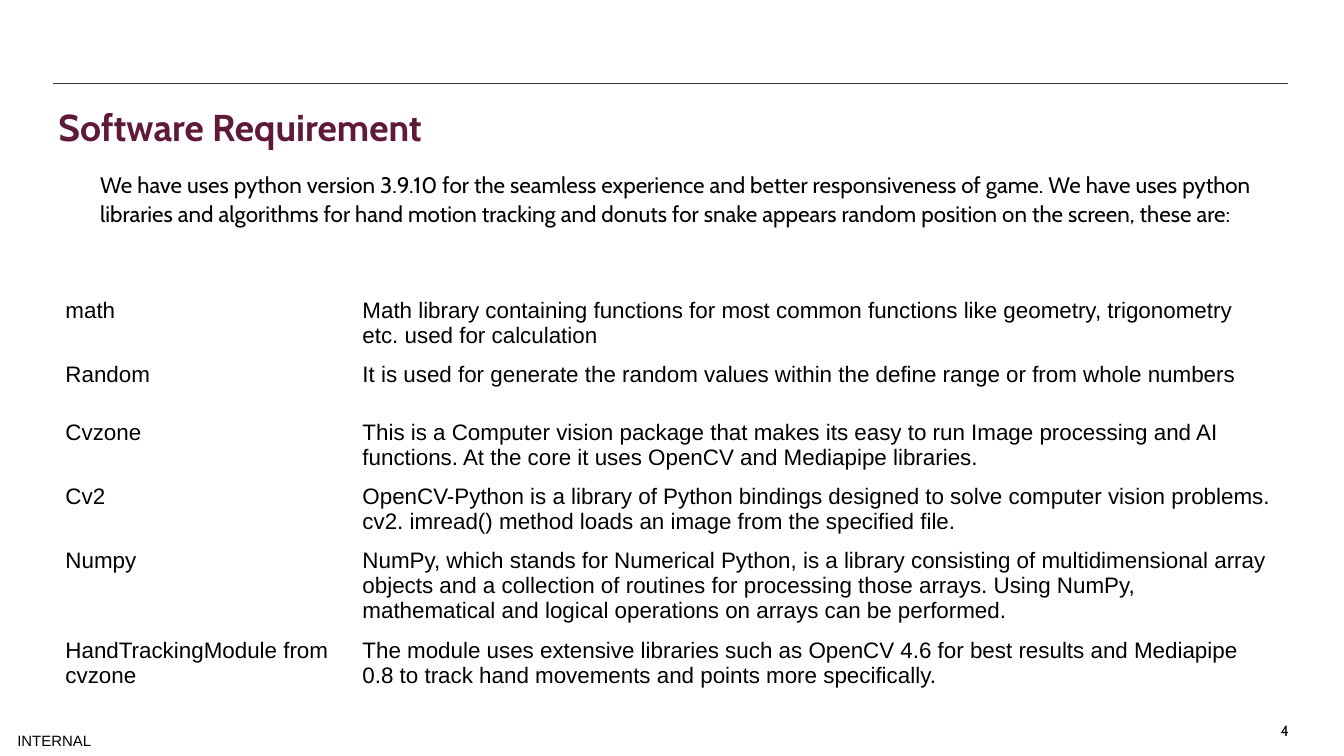
"""Build the software requirement slide with its table of Python libraries."""
from lxml.etree import SubElement
from pptx import Presentation
from pptx.dml.color import RGBColor
from pptx.enum.shapes import MSO_CONNECTOR as Connector
from pptx.enum.text import MSO_ANCHOR as Anchor, PP_ALIGN as Align
from pptx.oxml.ns import qn
from pptx.util import Inches, Pt

BLACK, WHITE, GREY, PLUM = "000000", "FFFFFF", "333333", "5F1939"
GRID = Inches(0.1)
COLUMNS, ROWS = 100, 56.25


def cells(count):
    return round(count * GRID)


def style(paragraph, size, name, color=BLACK, bold=False):
    font = paragraph.font
    font.size, font.name, font.bold = Pt(size), name, bold
    font.color.rgb = RGBColor.from_string(color)


presentation = Presentation()
presentation.slide_width = cells(COLUMNS)
presentation.slide_height = cells(ROWS)
slide = presentation.slides.add_slide(presentation.slide_layouts[6])
shapes = slide.shapes

rule = shapes.add_connector(
    Connector.STRAIGHT, cells(3.95), cells(6.23), cells(95.8), cells(6.23))
rule.line.color.rgb = RGBColor.from_string(GREY)
rule.line.width = Pt(0.75)
SubElement(rule.element.spPr, qn("a:effectLst"))

introduction = (
    "We have uses python version 3.9.10 for the seamless experience and better "
    "responsiveness of game. We have uses python libraries and algorithms for hand "
    "motion tracking and donuts for snake appears random position on the screen, "
    "these are:")
texts = [
    ("INTERNAL", (0, 53.9, 8.1, 2.4), 0, 0, 8, "Arial", BLACK, False, Align.CENTER, Anchor.MIDDLE, 1),
    ("Software Requirement", (3.95, 7.35, 90.2, 4.8), 0.4, 0.4, 20, "Cabin", PLUM, True, Align.LEFT, Anchor.TOP, 1),
    (introduction, (3.95, 12.13, 91.9, 37.6), 3.5, 0.4, 12, "Cabin", BLACK, False, Align.LEFT, Anchor.TOP, 1.1),
    ("4", (88.5, 53.7, 7.4, 1.5), 0, 0, 8, "Cabin", BLACK, False, Align.RIGHT, Anchor.TOP, 1),
]
for text, place, indent, inset, size, name, color, bold, align, anchor, spacing in texts:
    frame = shapes.add_textbox(*map(cells, place)).text_frame
    frame.word_wrap = True
    frame.vertical_anchor = anchor
    frame.margin_left = cells(indent)
    frame.margin_top = frame.margin_right = frame.margin_bottom = cells(inset)
    paragraph = frame.paragraphs[0]
    paragraph.text = text
    paragraph.alignment = align
    paragraph.line_spacing = spacing
    style(paragraph, size, name, color, bold)

libraries = [
    (2.9, "", ""),
    (4.8, "math",
     "Math library containing functions for most common functions like geometry, "
     "trigonometry etc. used for calculation"),
    (4.3, "Random",
     "It is used for generate the random values within the define range or from "
     "whole numbers"),
    (4.77, "Cvzone",
     "This is a Computer vision package that makes its easy to run Image processing "
     "and AI functions. At the core it uses OpenCV and Mediapipe libraries."),
    (4.77, "Cv2",
     "OpenCV-Python is a library of Python bindings designed to solve computer vision "
     "problems. cv2. imread() method loads an image from the specified file."),
    (6.7, "Numpy",
     "NumPy, which stands for Numerical Python, is a library consisting of "
     "multidimensional array objects and a collection of routines for processing those "
     "arrays. Using NumPy, mathematical and logical operations on arrays can be "
     "performed."),
    (4.8, "HandTrackingModule from cvzone",
     "The module uses extensive libraries such as OpenCV 4.6 for best results and "
     "Mediapipe 0.8 to track hand movements and points more specifically."),
]
height = sum(library[0] for library in libraries)
table = shapes.add_table(
    len(libraries), 2, cells(3.87), cells(18.75), cells(92), cells(height)).table
for column, width in zip(table.columns, (22.1, 69.9)):
    column.width = cells(width)
for row, (row_height, *entries) in zip(table.rows, libraries):
    row.height = cells(row_height)
    for cell, entry in zip(row.cells, entries):
        cell.fill.solid()
        cell.fill.fore_color.rgb = RGBColor.from_string(WHITE)
        cell.margin_top = cells(0.5 if entry else 0)
        cell.margin_bottom = 0
        paragraph = cell.text_frame.paragraphs[0]
        paragraph.text = entry
        style(paragraph, 12, "Arial")

presentation.save("out.pptx")
